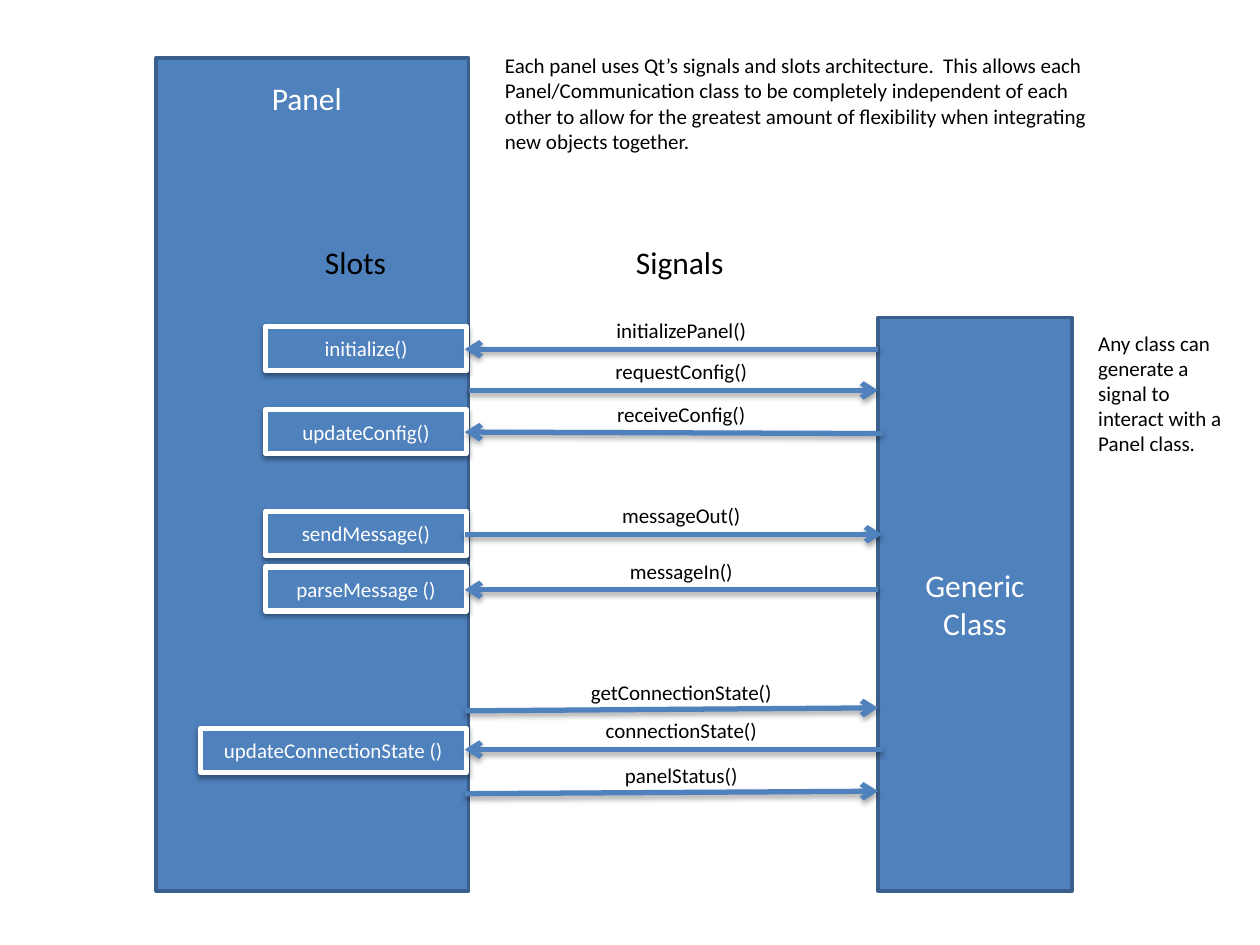
from lxml.etree import SubElement
from pptx import Presentation
from pptx.dml.color import RGBColor
from pptx.enum.shapes import MSO_CONNECTOR, MSO_SHAPE
from pptx.enum.text import MSO_ANCHOR, MSO_AUTO_SIZE, PP_ALIGN
from pptx.oxml.ns import qn
from pptx.util import Cm, Pt

HUES = {"blue": "4F81BD", "edge": "3A5F8C", "white": "FFFFFF", "black": "000000"}
SLOTS = [
    ("initialize()", 5.41, 4.04),
    ("updateConfig()", 7.09, 4.04),
    ("sendMessage()", 9.14, 4.04),
    ("parseMessage ()", 10.26, 4.04),
    ("updateConnectionState ()", 13.51, 5.36),
]
CALLS = [
    ("initializePanel()", 8.33, 0.79, 0, 0.79),
    ("requestConfig()", 0.08, 1.62, 8.33, 1.62),
    ("receiveConfig()", 8.41, 2.49, 0, 2.46),
    ("messageOut()", 0, 4.52, 8.41, 4.52),
    ("messageIn()", 8.33, 5.64, 0, 5.64),
    ("getConnectionState()", 0, 8.08, 8.33, 8.02),
    ("connectionState()", 8.41, 8.86, 0, 8.86),
    ("panelStatus()", 0, 9.75, 8.33, 9.7),
]


def hue(name):
    """Return the named colour."""
    return RGBColor.from_string(HUES[name])


def put(item, vals):
    """Set each attribute of item from a dict."""
    for key, val in vals.items():
        setattr(item, key, val)


def shade(props, dist, alpha):
    """Cast a soft shadow straight down."""
    list_ = props.find(qn("a:effectLst"))
    if list_ is None:
        list_ = SubElement(props, qn("a:effectLst"))
    cast = SubElement(list_, qn("a:outerShdw"), blurRad=str(Pt(3.1)),
                      dist=str(Pt(dist)), dir="5400000", rotWithShape="0")
    tint = SubElement(cast, qn("a:srgbClr"), val=HUES["black"])
    SubElement(tint, qn("a:alpha"), val=str(alpha * 1000))


def write(shape, text, size, color, align, frame):
    """Write one styled paragraph into a shape."""
    put(shape.text_frame, frame)
    para = shape.text_frame.paragraphs[0]
    para.alignment = align
    run = para.add_run()
    run.text = text
    put(run.font, {"name": "Calibri", "size": Pt(size)})
    put(run.font.color, {"rgb": hue(color)})


def label(slide, box, text, size=12, color="black", align=PP_ALIGN.LEFT, wrap=True):
    """Add a text box."""
    shape = slide.shapes.add_textbox(*map(Cm, box))
    write(shape, text, size, color, align,
          {"word_wrap": wrap, "auto_size": MSO_AUTO_SIZE.SHAPE_TO_FIT_TEXT})


def block(slide, box, edge, width, text="", size=12):
    """Add a blue block with centred white text."""
    shape = slide.shapes.add_shape(MSO_SHAPE.RECTANGLE, *map(Cm, box))
    shape.shadow.inherit = False
    shape.fill.solid()
    put(shape.fill.fore_color, {"rgb": hue("blue")})
    put(shape.line.color, {"rgb": hue(edge)})
    put(shape.line, {"width": Pt(width)})
    if text:
        write(shape, text, size, "white", PP_ALIGN.CENTER,
              {"word_wrap": True, "vertical_anchor": MSO_ANCHOR.MIDDLE})
    return shape


def arrow(slide, ends):
    """Add a shadowed arrow from the first point to the second."""
    line = slide.shapes.add_connector(MSO_CONNECTOR.STRAIGHT, *map(Cm, ends))
    put(line.line.color, {"rgb": hue("blue")})
    put(line.line, {"width": Pt(3)})
    props = line._element.spPr
    SubElement(props.find(qn("a:ln")), qn("a:tailEnd"), type="arrow")
    shade(props, 1.8, 35)


def panel(slide, x, y, w, h):
    """Draw the panel with its headings and slots."""
    block(slide, (x, y, w, h), "edge", 2)
    label(slide, (x + 2.08, y + 0.3, 1.96, 1.02), "Panel", 18, "white", wrap=False)
    label(slide, (x + 3.15, y + 3.61, 1.75, 1.02), "Slots", 18, wrap=False)
    for text, top, wide in SLOTS:
        slot = block(slide, (x + w - 0.05 - wide, y + top, wide, 0.89), "white", 3, text)
        shade(slot._element.spPr, 1.6, 38)


def calls(slide, x, y, w):
    """Draw the signals heading and the labelled arrows below it."""
    label(slide, (x + 3.2, y - 1.47, 2.29, 1.02), "Signals", 18, wrap=False)
    wide = 5.5
    for text, x1, y1, x2, y2 in CALLS:
        arrow(slide, (x + x1, y + y1, x + x2, y + y2))
        label(slide, (x + (w - wide) / 2 + 0.2, y + y1 - 0.76, wide, 0.76), text,
              align=PP_ALIGN.CENTER)


def main():
    """Build and save the slide."""
    deck = Presentation()
    put(deck, {"slide_width": Cm(25.4), "slide_height": Cm(19.05)})
    slide = deck.slides.add_slide(deck.slide_layouts[6])
    panel(slide, 3.15, 1.17, 6.3, 16.79)
    block(slide, (17.7, 6.4, 3.91, 11.56), "edge", 2, "Generic Class", 18)
    calls(slide, 9.37, 6.25, 8.33)
    label(slide, (9.93, 0.94, 12.4, 2.31),
          "Each panel uses Qt’s signals and slots architecture.  This allows each "
          "Panel/Communication class to be completely independent of each other to "
          "allow for the greatest amount of flexibility when integrating new objects "
          "together.")
    label(slide, (21.89, 6.53, 3.2, 2.82),
          "Any class can generate a signal to interact with a Panel class.")
    deck.save("out.pptx")


if __name__ == "__main__":
    main()
